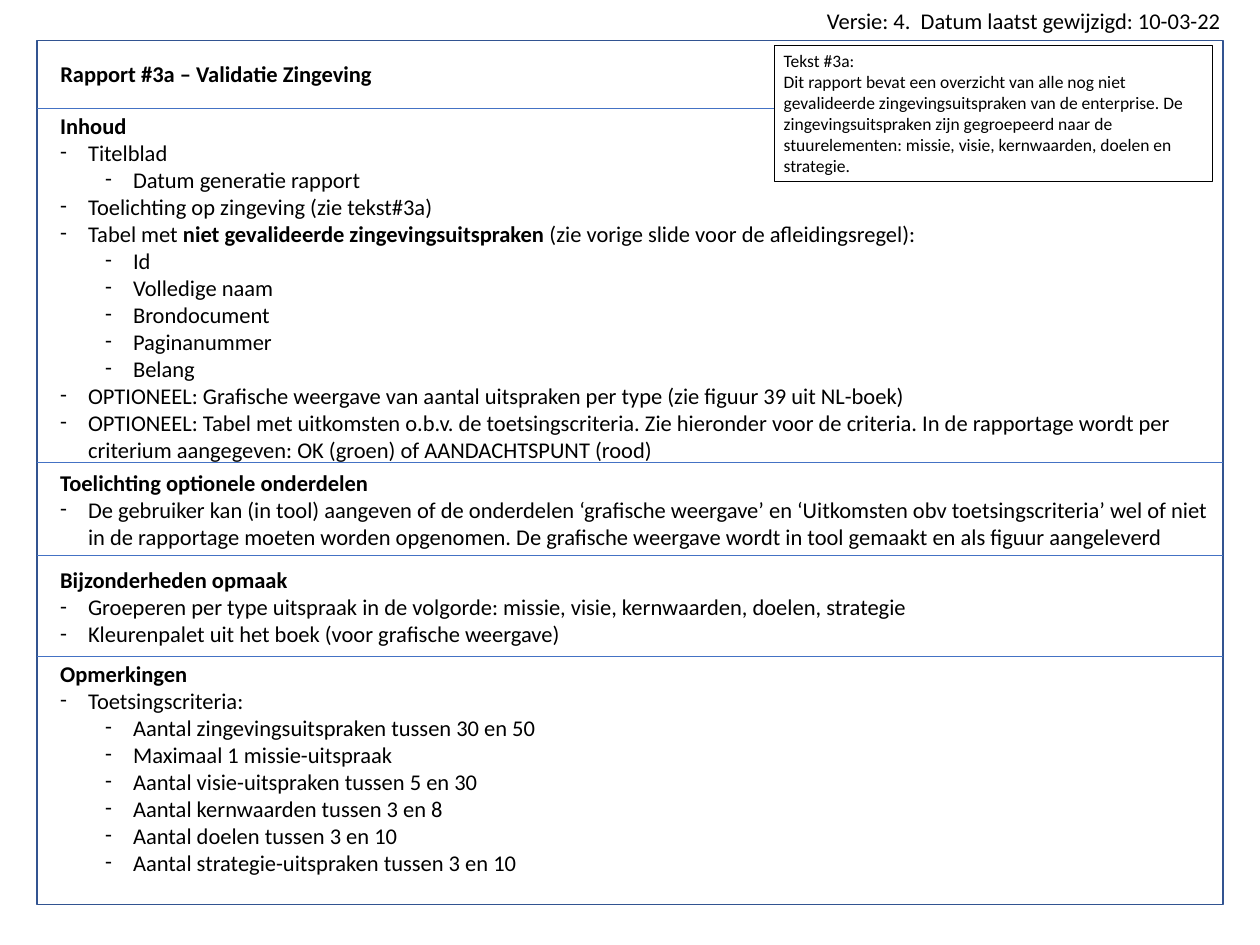
import pptx
import pptx.dml.color
import pptx.enum.shapes
import pptx.enum.text
import pptx.oxml
import pptx.oxml.ns
import pptx.util
from pptx.util import Inches

FONT = "Calibri"
BLACK = "000000"
BLUE = "4472C4"
FRAME_BLUE = "325491"
LEFT, RIGHT = 0.41, 13.59
TEXT_LEFT = 0.57

SECTIONS = [
    ((1.19, 12.91, 4.34), True, "Inhoud", [
        (0, "Titelblad"),
        (1, "Datum generatie rapport"),
        (0, "Toelichting op zingeving (zie tekst#3a)"),
        (0, "Tabel met **niet gevalideerde zingevingsuitspraken **"
            "(zie vorige slide voor de afleidingsregel):"),
        (1, "Id"),
        (1, "Volledige naam"),
        (1, "Brondocument"),
        (1, "Paginanummer"),
        (1, "Belang"),
        (0, "OPTIONEEL: Grafische weergave van aantal uitspraken per type "
            "(zie figuur 39 uit NL-boek)"),
        (0, "OPTIONEEL: Tabel met uitkomsten o.b.v. de toetsingscriteria. "
            "Zie hieronder voor de criteria. In de rapportage wordt per "
            "criterium aangegeven: OK (groen) of AANDACHTSPUNT (rood)"),
    ]),
    ((5.16, 13.15, 1.01), True, "Toelichting optionele onderdelen", [
        (0, "De gebruiker kan (in tool) aangeven of de onderdelen "
            "‘grafische weergave’ en ‘Uitkomsten obv toetsingscriteria’ wel of niet "
            "in de rapportage moeten worden opgenomen. De grafische weergave "
            "wordt in tool gemaakt en als figuur aangeleverd"),
    ]),
    ((6.24, 9.72, 1.01), False, "Bijzonderheden opmaak", [
        (0, "Groeperen per type uitspraak in de volgorde: "
            "missie, visie, kernwaarden, doelen, strategie"),
        (0, "Kleurenpalet uit het boek (voor grafische weergave)"),
    ]),
    ((7.28, 12.58, 4.04), True, "Opmerkingen", [
        (0, "Toetsingscriteria:"),
        (1, "Aantal zingevingsuitspraken tussen 30 en 50"),
        (1, "Maximaal 1 missie-uitspraak"),
        (1, "Aantal visie-uitspraken tussen 5 en 30"),
        (1, "Aantal kernwaarden tussen 3 en 8"),
        (1, "Aantal doelen tussen 3 en 10"),
        (1, "Aantal strategie-uitspraken tussen 3 en 10"),
    ]),
]
DIVIDERS = [(1.2, 8.61), (5.14, RIGHT), (6.17, RIGHT), (7.29, RIGHT)]
NOTE = [
    "Tekst #3a:",
    "Dit rapport bevat een overzicht van alle nog niet gevalideerde "
    "zingevingsuitspraken van de enterprise. De zingevingsuitspraken zijn "
    "gegroepeerd naar de stuurelementen: missie, visie, kernwaarden, doelen "
    "en strategie.",
]


def color(value):
    return pptx.dml.color.RGBColor.from_string(value)


def format_span(span, size=18, bold=False):
    span.font.name = FONT
    span.font.size = pptx.util.Pt(size)
    span.font.bold = bold
    span.font.color.rgb = color(BLACK)


def format_frame(frame, wrap, size=18, bold=False):
    frame.word_wrap = wrap
    frame.auto_size = pptx.enum.text.MSO_AUTO_SIZE.SHAPE_TO_FIT_TEXT
    for para in frame.paragraphs:
        para.alignment = pptx.enum.text.PP_ALIGN.LEFT
        for span in para.runs:
            format_span(span, size, bold)


def place(shape, left, top, width, height):
    shape.left, shape.top = Inches(left), Inches(top)
    shape.width, shape.height = Inches(width), Inches(height)


def add_title(page, text):
    title = page.shapes.title
    place(title, TEXT_LEFT, 0.62, 3.69, 0.4)
    title.text_frame.text = text
    title.text_frame.vertical_anchor = pptx.enum.text.MSO_ANCHOR.TOP
    format_frame(title.text_frame, False, bold=True)


def add_outline(page, left, top, width, height, line_color, line_width):
    box = page.shapes.add_shape(
        pptx.enum.shapes.MSO_SHAPE.RECTANGLE,
        Inches(left), Inches(top), Inches(width), Inches(height))
    box.shadow.inherit = False
    box.fill.background()
    box.line.color.rgb = color(line_color)
    box.line.width = pptx.util.Pt(line_width)
    return box


def add_divider(page, top, right):
    line = page.shapes.add_connector(
        pptx.enum.shapes.MSO_CONNECTOR.STRAIGHT,
        Inches(LEFT), Inches(top), Inches(right), Inches(top))
    line.line.color.rgb = color(BLUE)
    line.line.width = pptx.util.Pt(0.5)
    properties = line.element.find(pptx.oxml.ns.qn("p:spPr"))
    properties.append(pptx.oxml.parse_xml(
        f'<a:effectLst {pptx.oxml.ns.nsdecls("a")}/>'))


def add_text(page, left, top, width, height, wrap):
    box = page.shapes.add_textbox(
        Inches(left), Inches(top), Inches(width), Inches(height))
    format_frame(box.text_frame, wrap)
    return box.text_frame


def add_bullet(frame, level, text):
    para = frame.add_paragraph()
    para.level = level
    properties = para._p.get_or_add_pPr()
    properties.set("marL", str(Inches(0.31 + 0.5 * level)))
    properties.set("indent", str(Inches(-0.31)))
    namespace = pptx.oxml.ns.nsdecls("a")
    properties.append(pptx.oxml.parse_xml(
        f'<a:buFont {namespace} typeface="{FONT}"/>'))
    properties.append(pptx.oxml.parse_xml(f'<a:buChar {namespace} char="-"/>'))
    for index, part in enumerate(text.split("**")):
        span = para.add_run()
        span.text = part
        format_span(span, bold=index % 2 == 1)


def add_section(page, bounds, wrap, heading, bullets):
    frame = add_text(page, TEXT_LEFT, *bounds, wrap)
    frame.text = heading
    format_frame(frame, wrap, bold=True)
    for level, text in bullets:
        add_bullet(frame, level, text)


def add_version(page, text):
    frame = add_text(page, 9.09, 0.03, 4.62, 0.4, False)
    frame.text = text
    format_frame(frame, False)


def add_note(page, lines):
    box = add_outline(page, 8.61, 0.51, 4.86, 1.51, BLACK, 0.75)
    box.text_frame.text = "\n".join(lines)
    box.text_frame.vertical_anchor = pptx.enum.text.MSO_ANCHOR.TOP
    format_frame(box.text_frame, True, size=14)


def main():
    deck = pptx.Presentation()
    deck.slide_width, deck.slide_height = Inches(14), Inches(10.5)
    page = deck.slides.add_slide(deck.slide_layouts.get_by_name("Title Only"))
    add_outline(page, LEFT, 0.45, RIGHT - LEFT, 9.6, FRAME_BLUE, 1)
    add_title(page, "Rapport #3a – Validatie Zingeving")
    for top, right in DIVIDERS:
        add_divider(page, top, right)
    for section in SECTIONS:
        add_section(page, *section)
    add_version(page, "Versie: 4.  Datum laatst gewijzigd: 10-03-22")
    add_note(page, NOTE)
    deck.save("out.pptx")


if __name__ == "__main__":
    main()
